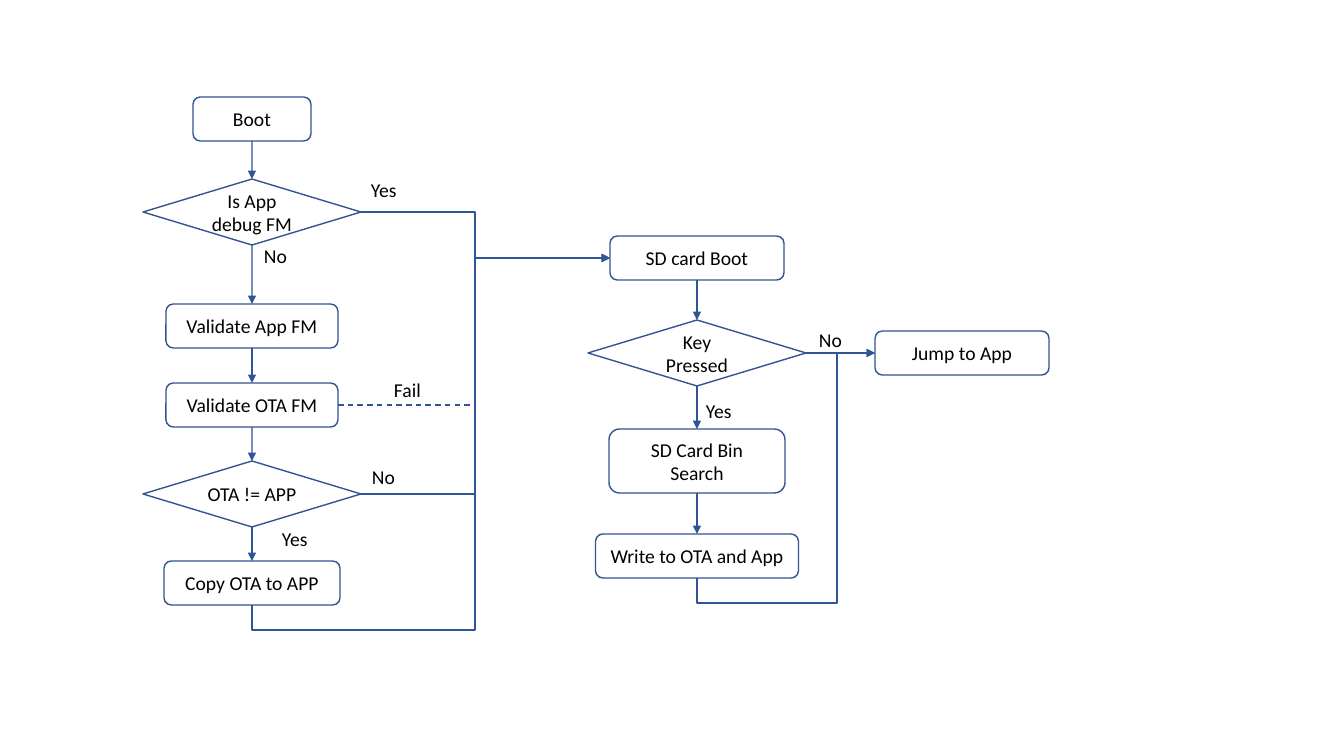
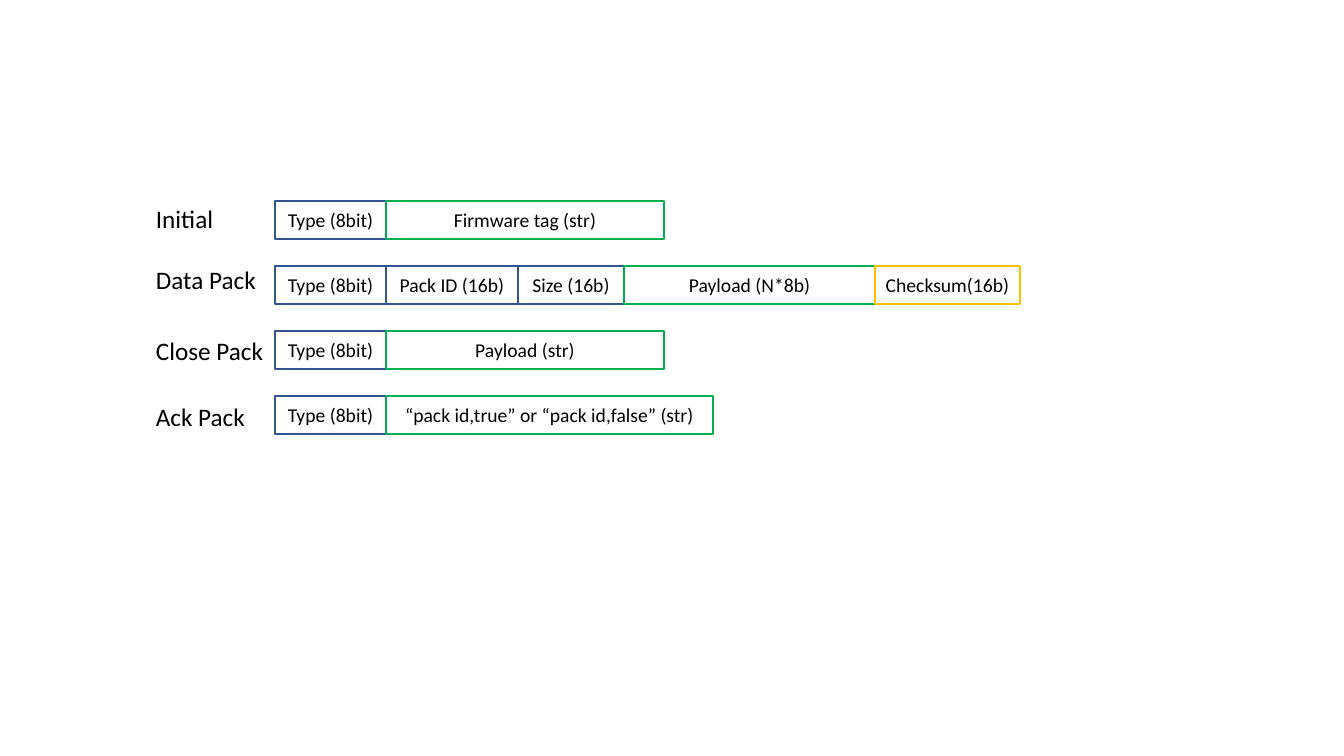
import pptx
import pptx.dml.color
import pptx.enum.dml
import pptx.enum.shapes
import pptx.enum.text
import pptx.oxml
import pptx.util

RGB = pptx.dml.color.RGBColor
NAVY = RGB(0x32, 0x54, 0x91)
FLOW_BLUE = RGB(0x2F, 0x55, 0x97)
GREEN = RGB(0x00, 0xB0, 0x50)
AMBER = RGB(0xFF, 0xC0, 0x00)
BLACK = RGB(0, 0, 0)
FONT = "Calibri"
PRESET = pptx.enum.shapes.MSO_SHAPE
LINK = pptx.enum.shapes.MSO_CONNECTOR
ALIGN = pptx.enum.text.PP_ALIGN
ANCHOR = pptx.enum.text.MSO_ANCHOR
TOP, LEFT, BOTTOM, RIGHT = range(4)
EMU_PER_PX = 914400 / 100.8


def px(length):
    return pptx.util.Emu(round(length * EMU_PER_PX))


def write(frame, text, size=14, align=ALIGN.LEFT, anchor=ANCHOR.TOP, wrap=False):
    frame.word_wrap = wrap
    frame.vertical_anchor = anchor
    paragraph = frame.paragraphs[0]
    paragraph.alignment = align
    run = paragraph.add_run()
    run.text = text
    run.font.name = FONT
    run.font.size = pptx.util.Pt(size)
    run.font.color.rgb = BLACK


def append(parent, tag, **attributes):
    child = pptx.oxml.parse_xml(
        f'<a:{tag} xmlns:a="http://schemas.openxmlformats.org/drawingml/2006/main"/>')
    for key, value in attributes.items():
        child.set(key, str(value))
    parent.append(child)


class Diagram:
    """Draws outlined boxes, labels and connectors on the current slide."""

    def __init__(self):
        self.deck = pptx.Presentation()
        self.deck.slide_width, self.deck.slide_height = px(1344), px(756)
        self.shapes = None

    def new_slide(self):
        self.shapes = self.deck.slides.add_slide(self.deck.slide_layouts[6]).shapes

    def box(self, text, left, top, width, height, preset=PRESET.RECTANGLE,
            color=NAVY, weight=1.0):
        box = self.shapes.add_shape(preset, px(left), px(top), px(width), px(height))
        box.shadow.inherit = False
        box.fill.background()
        box.line.color.rgb = color
        box.line.width = pptx.util.Pt(weight)
        write(box.text_frame, text, align=ALIGN.CENTER, anchor=ANCHOR.MIDDLE, wrap=True)
        return box

    def step(self, text, center, top, width, height=44):
        return self.box(text, center - width / 2, top, width, height,
                        PRESET.ROUNDED_RECTANGLE)

    def decision(self, text, center, top):
        return self.box(text, center - 109, top, 218, 66, PRESET.FLOWCHART_DECISION)

    def label(self, text, left, top, width=49, height=34, size=14):
        label = self.shapes.add_textbox(px(left), px(top), px(width), px(height))
        write(label.text_frame, text, size=size)
        label.text_frame.auto_size = pptx.enum.text.MSO_AUTO_SIZE.SHAPE_TO_FIT_TEXT

    def line(self, kind, start=(0, 0), end=(0, 0), arrow=True):
        line = self.shapes.add_connector(kind, *map(px, start + end))
        line.line.color.rgb = FLOW_BLUE
        line.line.width = pptx.util.Pt(1)
        if arrow:
            append(line.line._get_or_add_ln(), "tailEnd", type="triangle")
        append(line._element.spPr, "effectLst")
        return line

    def connect(self, source, target, source_site=BOTTOM, target_site=TOP,
                kind=LINK.STRAIGHT):
        line = self.line(kind)
        line.begin_connect(source, source_site)
        line.end_connect(target, target_site)
        return line

    def bend(self, line, *ratios):
        guides = line._element.spPr.prstGeom.get_or_add_avLst()
        for number, ratio in enumerate(ratios, 1):
            append(guides, "gd", name=f"adj{number}", fmla=f"val {round(ratio * 100000)}")

    def branch(self, source, target, bus):
        line = self.connect(source, target, RIGHT, LEFT, LINK.ELBOW)
        self.bend(line, (px(bus) - line.begin_x) / (line.end_x - line.begin_x))

    def loop(self, source, target, drop, bus):
        line = self.connect(source, target, BOTTOM, LEFT, LINK.ELBOW)
        across, rise = line.end_x - line.begin_x, line.begin_y - line.end_y
        ratios = -px(drop) / rise, (px(bus) - line.begin_x) / across
        line.left += (across - rise) // 2
        line.top += (rise - across) // 2
        line.width, line.height = rise, across
        properties = line._element.spPr
        properties.prstGeom.set("prst", "bentConnector4")
        for key, value in (("rot", "5400000"), ("flipH", "1"), ("flipV", "1")):
            properties.xfrm.set(key, value)
        self.bend(line, *ratios)


def boot_flow(diagram):
    diagram.new_slide()
    main, card, bus = 252, 697, 475
    boot = diagram.step("Boot", main, 97, 118)
    debug = diagram.decision("Is App debug FM", main, 179)
    check_app = diagram.step("Validate App FM", main, 304, 172)
    check_ota = diagram.step("Validate OTA FM", main, 383, 172)
    differs = diagram.decision("OTA != APP", main, 461)
    copy_ota = diagram.step("Copy OTA to APP", main, 561, 176)
    card_boot = diagram.step("SD card Boot", card, 236, 174)
    key = diagram.decision("Key Pressed", card, 320)
    search = diagram.step("SD Card Bin Search", card, 429, 176, height=64)
    store = diagram.step("Write to OTA and App", card, 534, 203)
    jump = diagram.step("Jump to App", 962, 331, 174)

    for chain in ((boot, debug, check_app, check_ota, differs, copy_ota),
                  (card_boot, key, search, store)):
        for source, target in zip(chain, chain[1:]):
            diagram.connect(source, target)
    diagram.connect(key, jump, RIGHT, LEFT)
    for question in (debug, differs):
        diagram.branch(question, card_boot, bus)
    diagram.loop(copy_ota, card_boot, 25, bus)
    diagram.loop(store, jump, 25, 837)
    failure = diagram.line(LINK.STRAIGHT, (338, 405), (470, 405), arrow=False)
    failure.line.dash_style = pptx.enum.dml.MSO_LINE.DASH

    for text, left, top in (("Yes", 361, 173), ("No", 254, 239), ("Fail", 384, 373),
                            ("No", 362, 460), ("Yes", 272, 522), ("No", 809, 323),
                            ("Yes", 696, 394)):
        diagram.label(text, left, top)


def packet_formats(diagram):
    diagram.new_slide()
    kind = ("Type (8bit)", 111, NAVY)
    packets = (
        ("Initial", 79, 198, (kind, ("Firmware tag (str)", 278, GREEN))),
        ("Data Pack", 121, 259, (kind, ("Pack ID (16b)", 132, NAVY),
                                 ("Size (16b)", 106, NAVY),
                                 ("Payload (N*8b)", 251, GREEN),
                                 ("Checksum(16b)", 145, AMBER))),
        ("Close Pack", 130, 330, (kind, ("Payload (str)", 278, GREEN))),
        ("Ack Pack", 110, 396,
         (kind, ("“pack id,true” or “pack id,false” (str)", 327, GREEN))),
    )
    for row, (name, name_width, name_top, fields) in enumerate(packets):
        diagram.label(name, 146, name_top, name_width, 40, size=18)
        left = 275
        for text, width, color in fields:
            diagram.box(text, left, 201 + 65 * row, width, 38, color=color, weight=1.5)
            left += width


def main():
    diagram = Diagram()
    boot_flow(diagram)
    packet_formats(diagram)
    diagram.deck.save("out.pptx")


if __name__ == "__main__":
    main()
